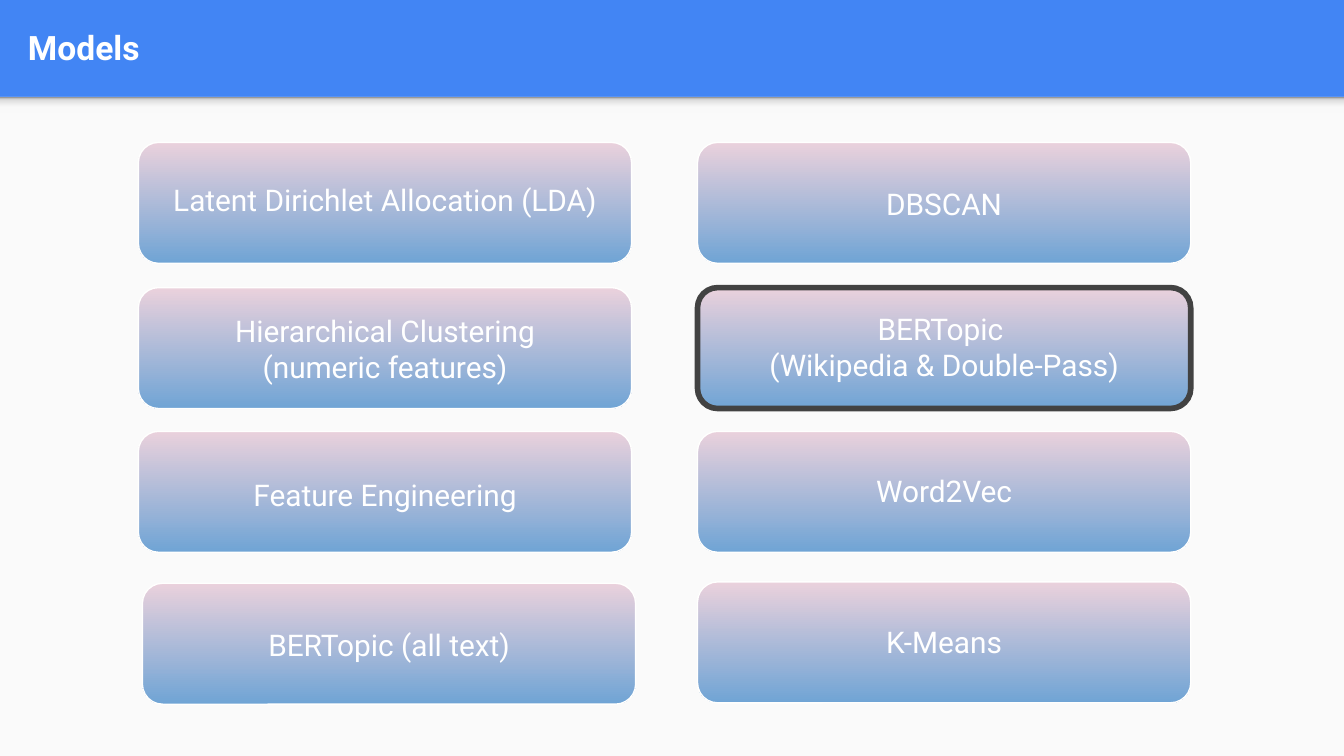
from copy import deepcopy
from pptx import Presentation
from pptx.dml.color import RGBColor
from pptx.enum.shapes import MSO_SHAPE
from pptx.enum.text import MSO_ANCHOR, PP_ALIGN
from pptx.util import Inches, Pt

RECT, ROUND = MSO_SHAPE.RECTANGLE, MSO_SHAPE.ROUNDED_RECTANGLE
TOP, MIDDLE = MSO_ANCHOR.TOP, MSO_ANCHOR.MIDDLE
LEFT, CENTER = PP_ALIGN.LEFT, PP_ALIGN.CENTER

# Content: lines, card left and top, label top and width, anchor
TITLE = "Models"
CARDS = [
    (["Latent Dirichlet Allocation (LDA)"], 1.03, 1.06, 1.25, 3.73, TOP),
    (["Hierarchical Clustering (numeric features)"], 1.03, 2.14, 2.23, 2.52, TOP),
    (["Feature Engineering"], 1.03, 3.21, 3.45, 2.28, TOP),
    (["BERTopic (all text)"], 1.06, 4.34, 4.56, 2.11, MIDDLE),
    (["DBSCAN"], 5.19, 1.06, 1.28, 1.13, TOP),
    (["BERTopic ", "(Wikipedia & Double-Pass)"], 5.19, 2.14, 2.21, 3.19, TOP),
    (["Word2Vec"], 5.19, 3.21, 3.42, 1.41, TOP),
    (["K-Means"], 5.19, 4.33, 4.54, 1.13, TOP),
]
CHOSEN = 5

THEME = {
    "font": "Roboto", "head": 18, "body": 16,
    "bar": "4285F4", "page": "FAFAFA", "text": "FFFFFF",
    "card": [(0, "EAD1DC"), (1, "70A4D5")],
    "shade": [(0, "F9F9F9"), (0.36, "F9F9F9"), (0.8, "DEDEDE"), (1, "999999")],
    "edge": ("FFFFFE", 0.75), "mark": ("424242", 3),
}
WIDE = 10
HIGH = WIDE * 9 / 16
BAR_H = 0.72
CARD_W, CARD_H = 3.67, 0.9


def color(code):
    return RGBColor.from_string(code)


def add_box(slide, kind, x, y, w, h, edge=None):
    box = slide.shapes.add_shape(kind, Inches(x), Inches(y), Inches(w), Inches(h))
    box.shadow.inherit = False
    if edge:
        box.line.color.rgb = color(edge[0])
        box.line.width = Pt(edge[1])
    else:
        box.line.fill.background()
    return box


def blend(box, stops, angle):
    """Gradient fill; angle runs counter-clockwise."""
    box.fill.gradient()
    box.fill.gradient_angle = angle
    nodes = box._element.spPr.xpath("./a:gradFill/a:gsLst")[0]
    while len(nodes) < len(stops):
        nodes.append(deepcopy(nodes[0]))
    for stop, (place, code) in zip(box.fill.gradient_stops, stops):
        stop.position = place
        stop.color.rgb = color(code)


def add_text(slide, lines, x, y, w, h, size, align, anchor, bold=False):
    box = slide.shapes.add_textbox(Inches(x), Inches(y), Inches(w), Inches(h))
    frame = box.text_frame
    frame.word_wrap = True
    frame.vertical_anchor = anchor
    frame.margin_left = frame.margin_right = Inches(0.1)
    frame.margin_top = frame.margin_bottom = Inches(0.1)
    for i, line in enumerate(lines):
        para = frame.add_paragraph() if i else frame.paragraphs[0]
        para.alignment = align
        run = para.add_run()
        run.text = line
        run.font.name = THEME["font"]
        run.font.size = Pt(size)
        run.font.bold = bold
        run.font.color.rgb = color(THEME["text"])


def main():
    deck = Presentation()
    deck.slide_width, deck.slide_height = Inches(WIDE), Inches(HIGH)
    slide = deck.slides.add_slide(deck.slide_layouts[6])

    # Blue bar, pale page and the shade under the bar
    back = slide.background.fill
    back.solid()
    back.fore_color.rgb = color(THEME["bar"])
    page = add_box(slide, RECT, 0, BAR_H, WIDE, HIGH - BAR_H)
    page.fill.solid()
    page.fill.fore_color.rgb = color(THEME["page"])
    shade = add_box(slide, RECT, 0, BAR_H, WIDE, 0.12)
    blend(shade, THEME["shade"], 90)
    add_text(slide, [TITLE], 0.11, 0.02, 9.65, 0.66, THEME["head"], LEFT, MIDDLE, True)

    # Model cards, each with a label centred on it
    for i, (lines, x, y, top, w, anchor) in enumerate(CARDS):
        edge = THEME["mark" if i == CHOSEN else "edge"]
        card = add_box(slide, ROUND, x, y, CARD_W, CARD_H, edge)
        blend(card, THEME["card"], 270)
        tall = 0.74 if y == 2.14 else 0.47
        add_text(slide, lines, x + (CARD_W - w) / 2, top, w, tall,
                 THEME["body"], CENTER, anchor)

    deck.save("out.pptx")


if __name__ == "__main__":
    main()
